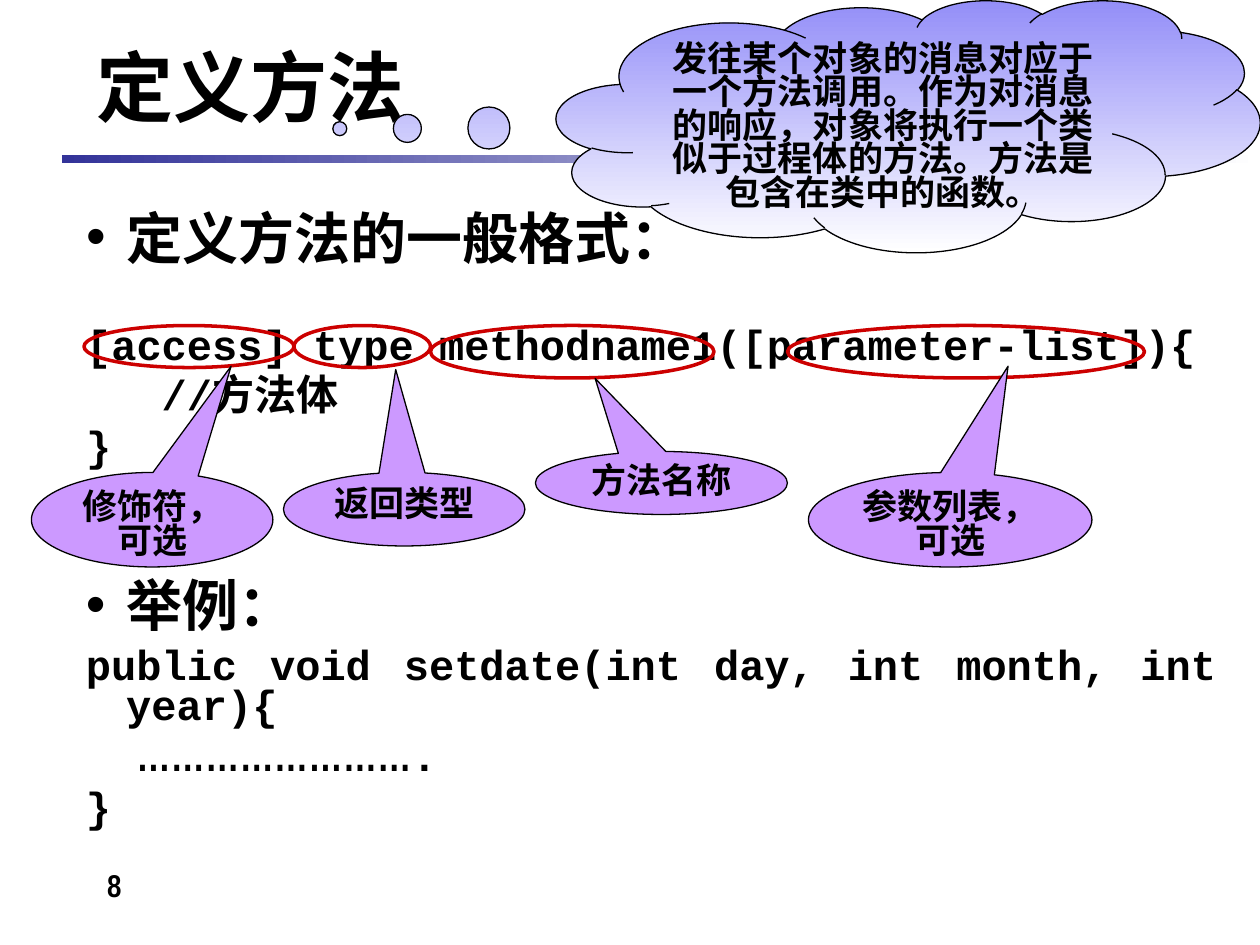
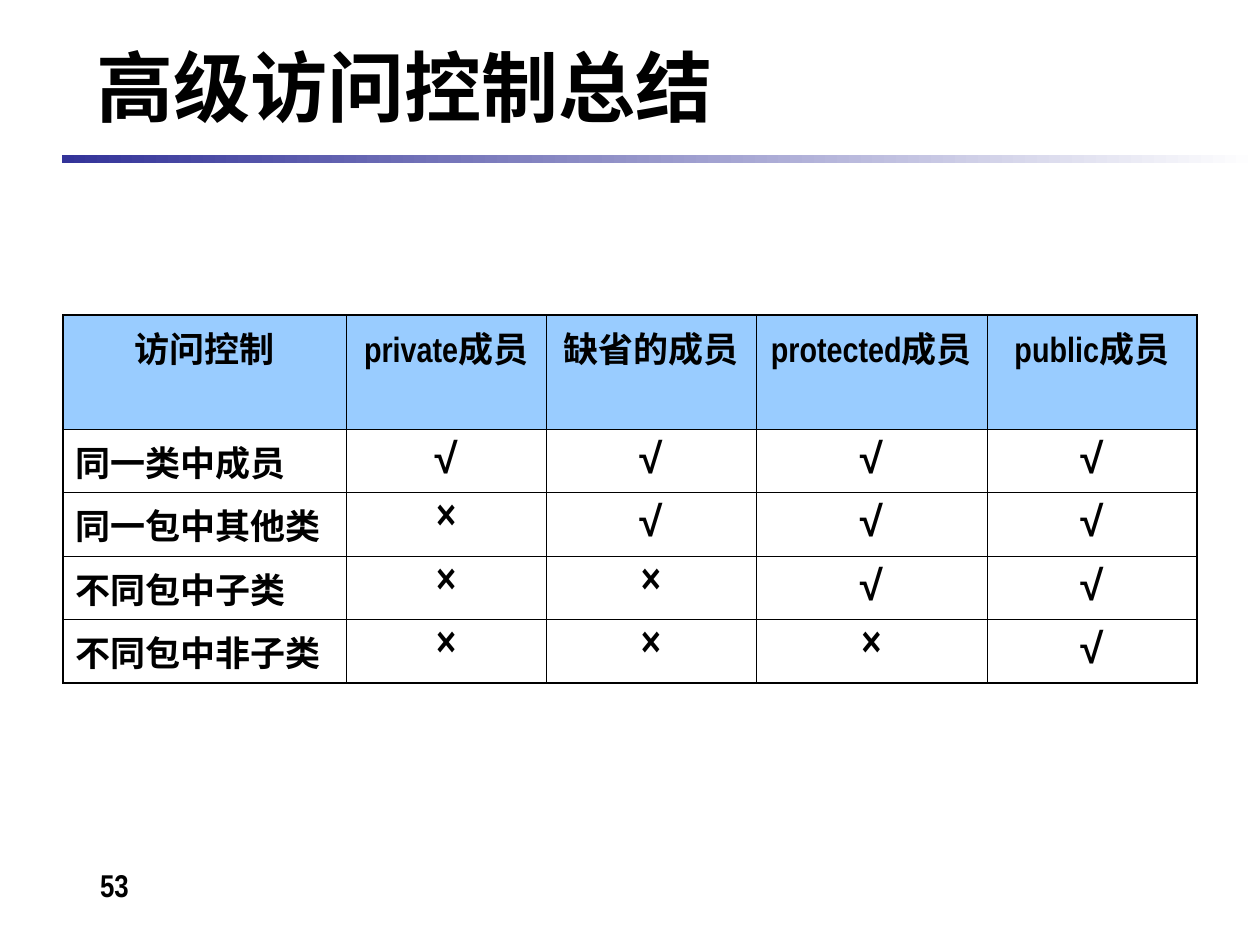
from dataclasses import dataclass
from itertools import product
from typing import NamedTuple

from lxml.etree import SubElement as sub
from pptx import Presentation
from pptx.dml.color import RGBColor as Rgb
from pptx.enum.shapes import MSO_SHAPE as Kind
from pptx.enum.text import MSO_ANCHOR as Anchor
from pptx.enum.text import MSO_AUTO_SIZE as Auto
from pptx.enum.text import PP_ALIGN as Align
from pptx.oxml.ns import qn
from pptx.util import Inches, Pt

COLORS = {
    "ink": "000000",
    "paper": "FFFFFF",
    "navy": "333399",
    "sky": "938EF8",
    "lilac": "CC99FF",
    "red": "CC0000",
    "head": "99CCFF",
}
NARROW, ARIAL, CODE, HAN = "Arial Narrow", "Arial", "Courier New", "Noto Sans CJK SC"
WIDE, HIGH = 10, 7.5
COLS, ROWS = 120, 90
THIN, THICK = 0.45, 1.08
HANG = 0.32


class Box(NamedTuple):
    col: float
    row: float
    cols: float
    rows: float

    def place(self) -> tuple:
        return (x(self.col), y(self.row), x(self.cols), y(self.rows))


@dataclass
class Line:
    text: str
    size: float = 24
    font: str = CODE
    before: float = 6
    space: float = 0.8
    align: Align = Align.LEFT
    left: float = HANG
    first: float = -HANG
    bullet: bool = False
    tail: str = ""


@dataclass
class Part:
    text: str
    ring: Box
    call: Box
    tip: tuple[float, float]


TITLE = Box(8, 2.5, 103, 11.25)
BAR = Box(5.9, 14.75, 114.1, 0.75)
NUMBER = Box(2.4, 81.85, 17, 6.25)
BODY = Box(7, 20, 110, 28)
SAMPLE = Box(7, 55, 110, 23)
CLOUD = Box(53, 0, 67, 24)
GRID = Box(6, 30, 108, 33.2)

FORM = [
    Line("定义方法的一般格式：", 32, NARROW, 8, bullet=True),
    Line("[access] type methodname1([parameter-list]){", before=33),
    Line("//方法体", left=0.6, first=0),
    Line("}"),
]
CASE = [
    Line("举例：", 32, NARROW, 8, bullet=True),
    Line("public void setdate(int day, int month, int year){", align=Align.JUSTIFY),
    Line("……………………", font=NARROW, align=Align.JUSTIFY, left=0.4, first=0, tail="."),
    Line("}", align=Align.JUSTIFY),
]
NOTE = (
    "发往某个对象的消息对应于一个方法调用。作为对消息的响应，"
    "对象将执行一个类似于过程体的方法。方法是包含在类中的函数。"
)
PARTS = [
    Part("方法名称", Box(41, 31, 27, 5), Box(51, 43, 24, 6), (-0.263, -1.66)),
    Part("返回类型", Box(28, 31, 13, 4), Box(27, 45, 23, 7), (-0.035, -1.9)),
    Part("修饰符，可选", Box(8, 31, 20, 4), Box(3, 45, 23, 9), (0.327, -1.625)),
    Part("参数列表，可选", Box(75, 31, 34, 5), Box(77, 45, 27, 9), (0.204, -1.625)),
]
ACCESS = [
    ["访问控制", "private成员", "缺省的成员", "protected成员", "public成员"],
    ["同一类中成员", *"√√√√"],
    ["同一包中其他类", *"×√√√"],
    ["不同包中子类", *"××√√"],
    ["不同包中非子类", *"×××√"],
]
SPANS = [27, 19, 20, 22, 20]
TALL = [9.2, 6, 6, 6, 6]


def x(cols: float) -> int:
    return Inches(WIDE * cols / COLS)


def y(rows: float) -> int:
    return Inches(HIGH * rows / ROWS)


def tint(name: str) -> Rgb:
    return Rgb.from_string(COLORS[name])


def style(run, size: float, font: str) -> None:
    run.font.size = Pt(size)
    run.font.bold = True
    run.font.name = font
    run.font.color.rgb = tint("ink")
    sub(run._r.get_or_add_rPr(), qn("a:ea"), typeface=HAN)


def write(frame, lines: list[Line], anchor: Anchor = Anchor.TOP) -> None:
    frame.word_wrap = True
    frame.auto_size = Auto.NONE
    frame.vertical_anchor = anchor
    fill_text(frame, lines)


def fill_text(frame, lines: list[Line]) -> None:
    frame.text = "\n".join(line.text for line in lines)
    for para, line in zip(frame.paragraphs, lines):
        para.alignment = line.align
        para.line_spacing = line.space
        para.space_before = Pt(line.before)
        props = para._p.get_or_add_pPr()
        props.set("marL", str(Inches(line.left)))
        props.set("indent", str(Inches(line.first)))
        if line.bullet:
            sub(props, qn("a:buFont"), typeface=ARIAL)
            sub(props, qn("a:buChar"), char="•")
        else:
            sub(props, qn("a:buNone"))
        style(para.runs[0], line.size, line.font)
        if line.tail:
            run = para.add_run()
            run.text = line.tail
            style(run, line.size, CODE)


def plain(text: str, size: float, font: str, before: float = 0, space: float = 1,
          align: Align = Align.CENTER) -> list[Line]:
    return [Line(text, size, font, before, space, align, 0, 0)]


def fade(shape, start: str, angle: float) -> None:
    shape.fill.gradient()
    shape.fill.gradient_angle = angle
    for stop, name in zip(shape.fill.gradient_stops, (start, "paper")):
        stop.color.rgb = tint(name)


def draw(slide, kind: Kind, box: Box, line: str = "ink", width: float = 0.75,
         tip: tuple = ()):
    shape = slide.shapes.add_shape(kind, *box.place())
    shape.shadow.inherit = False
    shape.line.color.rgb = tint(line)
    shape.line.width = Pt(width)
    for slot, value in enumerate(tip):
        shape.adjustments[slot] = value
    return shape


def add_bar(deck, slide) -> None:
    bar = draw(slide, Kind.RECTANGLE, BAR)
    bar.line.fill.background()
    fade(bar, "navy", 0)
    deck.slide_master.shapes.element.insert(2, bar.element)


def add_text(slide, box: Box, lines: list[Line]) -> None:
    write(slide.shapes.add_textbox(*box.place()).text_frame, lines)


def move(shape, box: Box) -> None:
    shape.left, shape.top, shape.width, shape.height = box.place()


def add_page(deck, layout: int, title: str, number: str):
    slide = deck.slides.add_slide(deck.slide_layouts[layout])
    head = slide.shapes.title
    move(head, TITLE)
    write(head.text_frame, plain(title, 44, NARROW, align=Align.LEFT), Anchor.MIDDLE)
    add_text(slide, NUMBER, plain(number, 18, NARROW))
    return slide


def add_part(slide, part: Part) -> None:
    ring = draw(slide, Kind.OVAL, part.ring, "red", 2)
    ring.fill.background()
    call = draw(slide, Kind.OVAL_CALLOUT, part.call, tip=part.tip)
    call.fill.solid()
    call.fill.fore_color.rgb = tint("lilac")
    write(call.text_frame, plain(part.text, 20, ARIAL, 5, 0.8))


def edge(cell, side: str, width: float) -> None:
    props = cell._tc.get_or_add_tcPr()
    line = sub(props, qn(f"a:ln{side}"), w=str(Pt(width)))
    sub(sub(line, qn("a:solidFill")), qn("a:srgbClr"), val=COLORS["ink"])


def add_grid(slide) -> None:
    rows, cols = len(ACCESS), len(SPANS)
    table = slide.shapes.add_table(rows, cols, *GRID.place()).table
    table.horz_banding = False
    table.first_row = False
    for col, span in zip(table.columns, SPANS):
        col.width = x(span)
    for row, tall in zip(table.rows, TALL):
        row.height = y(tall)
    for r, c in product(range(rows), range(cols)):
        cell, text = table.cell(r, c), ACCESS[r][c]
        outer = {"L": c == 0, "R": c == cols - 1, "T": r == 0, "B": r == rows - 1}
        for side, thick in outer.items():
            edge(cell, side, THICK if thick else THIN)
        if r == 0:
            cell.fill.solid()
            cell.fill.fore_color.rgb = tint("head")
        else:
            cell.fill.background()
        mark = text in "√×"
        font = ARIAL if text == "√" else NARROW
        align = Align.CENTER if mark or r == 0 else Align.LEFT
        size, before = (24, 6) if mark else (20, 5)
        fill_text(cell.text_frame, plain(text, size, font, before, align=align))


def add_method(deck) -> None:
    slide = add_page(deck, 1, "定义方法", "8")
    add_bar(deck, slide)
    body = slide.placeholders[1]
    move(body, BODY)
    write(body.text_frame, FORM)
    cloud = draw(slide, Kind.CLOUD_CALLOUT, CLOUD, tip=(-0.808, 0.011))
    fade(cloud, "sky", 270)
    write(cloud.text_frame, plain(NOTE, 20, HAN, 5, 0.8))
    for part in PARTS:
        add_part(slide, part)
    add_text(slide, SAMPLE, CASE)


def add_access(deck) -> None:
    add_grid(add_page(deck, 5, "高级访问控制总结", "53"))


def main() -> None:
    deck = Presentation()
    deck.slide_width, deck.slide_height = Inches(WIDE), Inches(HIGH)
    add_method(deck)
    add_access(deck)
    deck.save("out.pptx")


if __name__ == "__main__":
    main()
